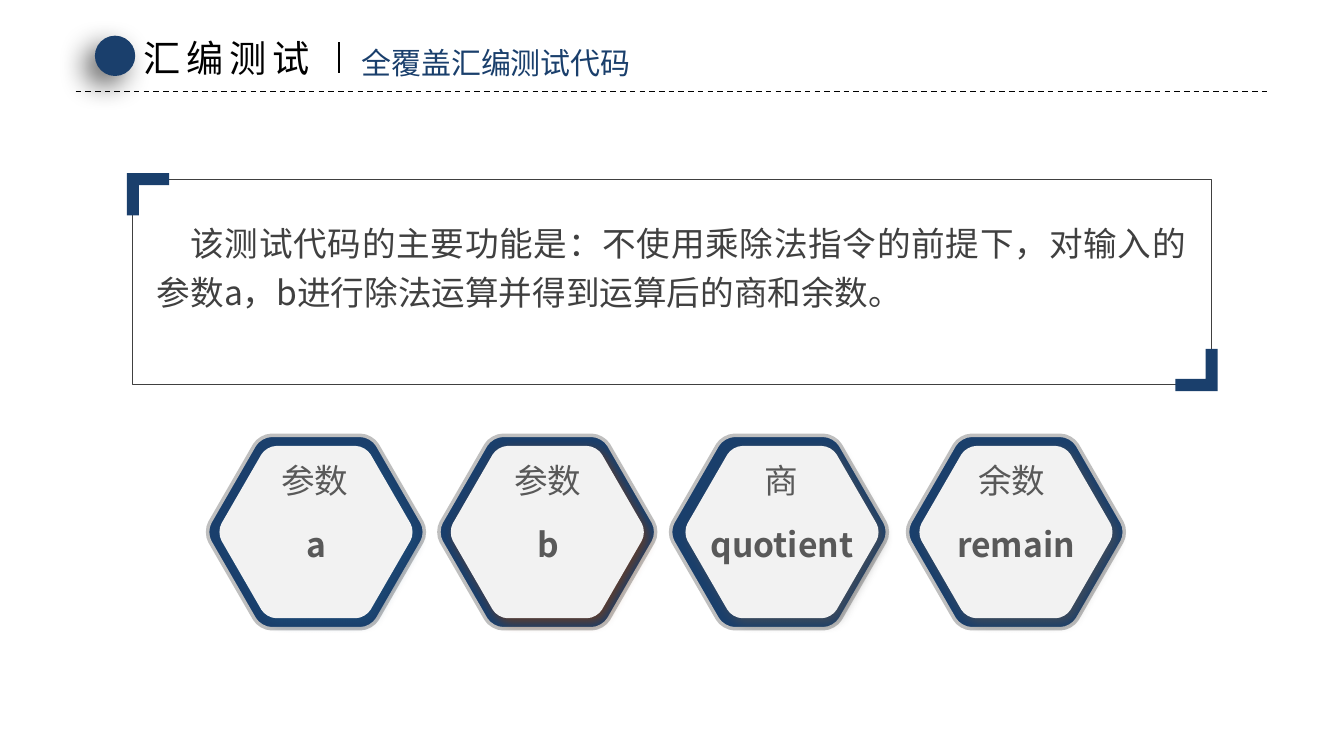
from math import cos, pi, sin

from lxml import etree
from pptx import Presentation
from pptx import util as u
from pptx.dml.color import RGBColor
from pptx.enum import dml, shapes, text
from pptx.oxml import ns

FONT = "Noto Sans CJK SC"
NAVY = RGBColor(0x1A, 0x3F, 0x6C)
BLACK = RGBColor(0x00, 0x00, 0x00)
DARK = RGBColor(0x40, 0x40, 0x40)
GREY = RGBColor(0x59, 0x59, 0x59)
PALE = RGBColor(0xF2, 0xF2, 0xF2)
RIM = RGBColor(0xBF, 0xBF, 0xBF)
BLUE_SHADE = RGBColor(0x1F, 0x4E, 0x79)
BROWN_SHADE = RGBColor(0x84, 0x3C, 0x0B)
GREY_SHADE = RGBColor(0x52, 0x52, 0x52)

# The page is a grid of 160 columns by 90 rows of square cells
CELL = u.Inches(1) // 12
deck = Presentation()
deck.slide_width, deck.slide_height = 160 * CELL, 90 * CELL
page = deck.slides.add_slide(deck.slide_layouts[6])


def paint(shape, fill, shade=None, alpha=0, blur=0, distance=0, angle=0):
    """Fill a shape without a line, with an optional outer shadow."""
    shape.fill.solid()
    shape.fill.fore_color.rgb = fill
    shape.line.fill.background()
    shape.shadow.inherit = False
    if shade is not None:
        effects = shape._element.spPr.find(ns.qn("a:effectLst"))
        shadow = etree.SubElement(
            effects, ns.qn("a:outerShdw"), blurRad=str(u.Pt(blur)),
            dist=str(u.Pt(distance)), dir=str(angle * 60000),
            algn="ctr", rotWithShape="0")
        color = etree.SubElement(shadow, ns.qn("a:srgbClr"), val=str(shade))
        etree.SubElement(color, ns.qn("a:alpha"), val=str(alpha * 1000))


def write(area, words, size, color, align=text.PP_ALIGN.LEFT, bold=False, wrap=False):
    """Place a one-paragraph text box on the grid; return box, paragraph, run."""
    box = page.shapes.add_textbox(*[round(n * CELL) for n in area])
    box.text_frame.word_wrap = wrap
    box.text_frame.auto_size = text.MSO_AUTO_SIZE.SHAPE_TO_FIT_TEXT
    para = box.text_frame.paragraphs[0]
    para.alignment = align
    span = para.add_run()
    span.text = words
    span.font.name, span.font.size, span.font.bold = FONT, u.Pt(size), bold
    span.font.color.rgb = color
    etree.SubElement(span._r.get_or_add_rPr(), ns.qn("a:ea"), typeface=FONT)
    return box, para, span


# Header rules
for ends, weight, dash in (
    ((9, 10.92, 150.96, 10.92), 1, dml.MSO_LINE.DASH),
    ((40.36, 5.04, 40.36, 8.64), 1.5, dml.MSO_LINE.SOLID),
):
    rule = page.shapes.add_connector(
        shapes.MSO_CONNECTOR.STRAIGHT, *[round(n * CELL) for n in ends])
    rule.line.color.rgb = BLACK
    rule.line.width = u.Pt(weight)
    rule.line.dash_style = dash
    etree.SubElement(rule._element.spPr, ns.qn("a:effectLst"))

# Header dot and titles
dot = page.shapes.add_shape(
    shapes.MSO_SHAPE.OVAL, *[round(n * CELL) for n in (11.3, 4.25, 4.8, 4.8)])
paint(dot, NAVY, BLACK, 60, 20, 10, 135)
box, para, span = write((15.94, 3.6, 23.04, 6.6), "汇编测试", 26.6, BLACK)
span._r.get_or_add_rPr().set("spc", "400")
write((41.85, 4.68, 34.8, 5.52), "全覆盖汇编测试代码", 21.4, NAVY)

# Framed description
frame = page.shapes.add_shape(
    shapes.MSO_SHAPE.ROUNDED_RECTANGLE,
    *[round(n * CELL) for n in (15.72, 21.36, 128.52, 24.36)])
frame.adjustments[0] = 0
frame.fill.background()
frame.line.color.rgb = DARK
frame.line.width = u.Pt(0.5)
frame.shadow.inherit = False

box, para, span = write(
    (18.67, 25.63, 122.52, 11.64),
    "该测试代码的主要功能是：不使用乘除法指令的前提下，对输入的参数a，b进行除法运算并得到运算后的商和余数。",
    24, DARK, text.PP_ALIGN.JUSTIFY, wrap=True)
body = box.text_frame
body.margin_left = body.margin_right = body.margin_top = body.margin_bottom = 0
para.line_spacing = 1.2
para._p.get_or_add_pPr().set("indent", str(4 * CELL))

# Corner brackets: the second is the first turned half round
ARM, THICK = 5.04, 1.44
BRACKET = ((0, 0), (ARM, 0), (ARM, THICK), (THICK, THICK), (THICK, ARM), (0, ARM))
for left, top, turn in ((15.1, 20.6, 1), (144.96, 46.56, -1)):
    points = [(round((left + turn * x) * CELL), round((top + turn * y) * CELL))
              for x, y in BRACKET]
    outline = page.shapes.build_freeform(*points[0])
    outline.add_line_segments(points[1:])
    paint(outline.convert_to_shape(), NAVY)

# Regular hexagon of radius 1: each corner is a curve of start, two handles and end
CUT, HANDLE = 0.1, 0.045
corners = [(cos(k * pi / 3), sin(k * pi / 3)) for k in range(6)]
hexagon = []
for k, corner in enumerate(corners):
    before, after = corners[k - 1], corners[(k + 1) % 6]
    for neighbour, share in ((before, CUT), (before, HANDLE), (after, HANDLE), (after, CUT)):
        hexagon.append([c + share * (n - c) for c, n in zip(corner, neighbour)])

# Parameter and result badges: rim centre, face centre, label centre
for rim, face, middle, label, name, shade in (
    (37.62, 37.62, 37.5, "参数", "a", BLUE_SHADE),
    (65.16, 65.16, 65.22, "参数", "b", BROWN_SHADE),
    (92.74, 93.1, 92.99, "商", "quotient", GREY_SHADE),
    (120.95, 120.95, 120.47, "余数", "remain", GREY_SHADE),
):
    for center, radius, fill, shadow in (
        (rim, 13.29, NAVY, ()),
        (face, 11.84, PALE, (shade, 64, 8, 4, 45)),
    ):
        points = [(round((center + radius * x) * CELL), round((63.34 + radius * y) * CELL))
                  for x, y in hexagon]
        outline = page.shapes.build_freeform(*points[0])
        outline.add_line_segments(points[1:])
        badge = outline.convert_to_shape()
        # Join the three steps around each corner into one curve
        steps = list(badge._element.iter(ns.qn("a:lnTo")))
        for first in range(0, 24, 4):
            curve = etree.Element(ns.qn("a:cubicBezTo"))
            steps[first].addprevious(curve)
            for step in steps[first:first + 3]:
                curve.append(step[0])
                step.getparent().remove(step)
        paint(badge, fill, *shadow)
        if not shadow:
            badge.line.color.rgb = RIM
            badge.line.width = u.Pt(2.5)
    width = {"quotient": 21.72, "remain": 16.92}.get(name, 4.8)
    write((face - width / 2, 61.8, width, 6), name, 24, GREY,
          text.PP_ALIGN.CENTER, bold=True)
    write((middle - 6.18, 54.2, 12.36, 6), label, 24, GREY,
          text.PP_ALIGN.CENTER, wrap=True)

deck.save("out.pptx")
